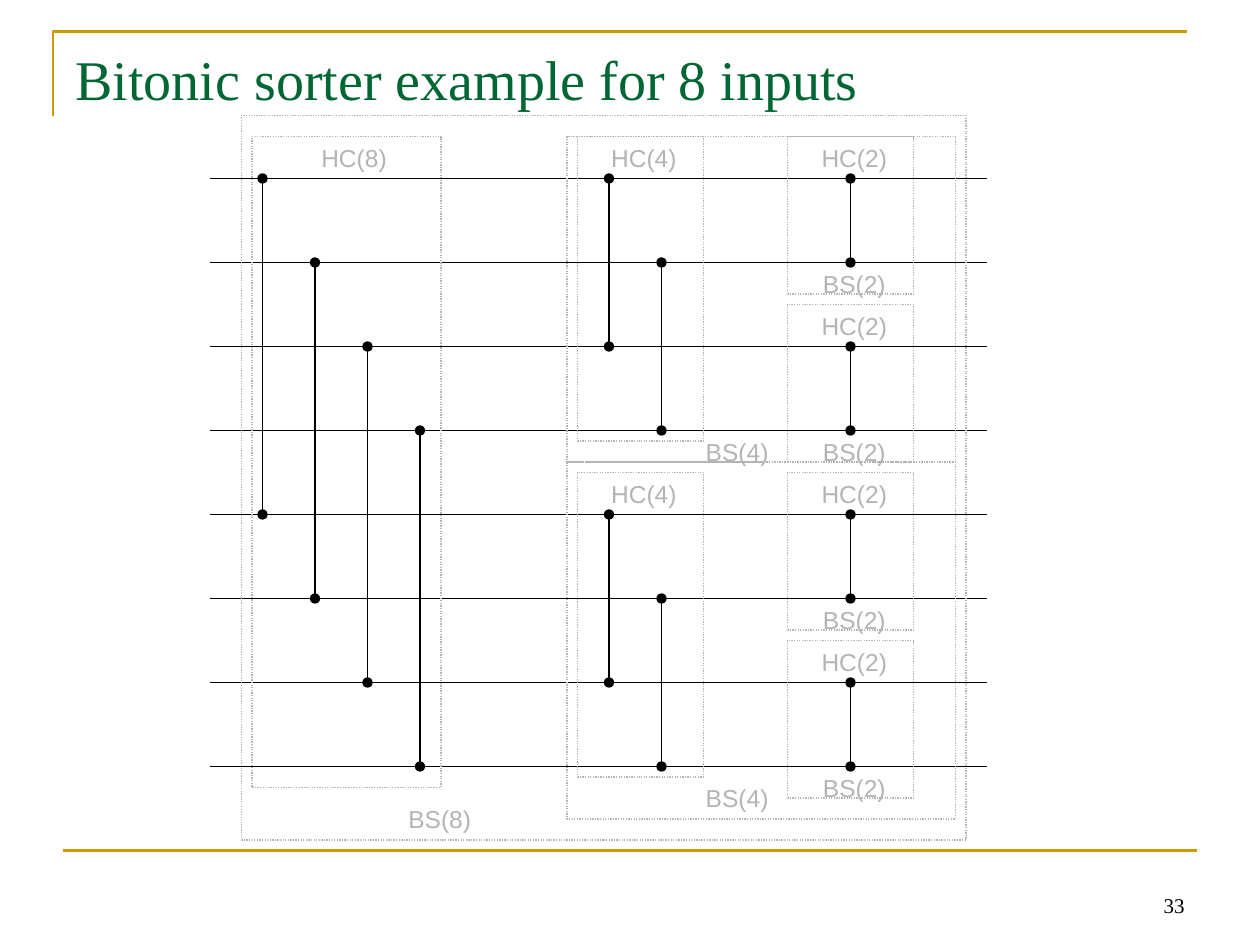
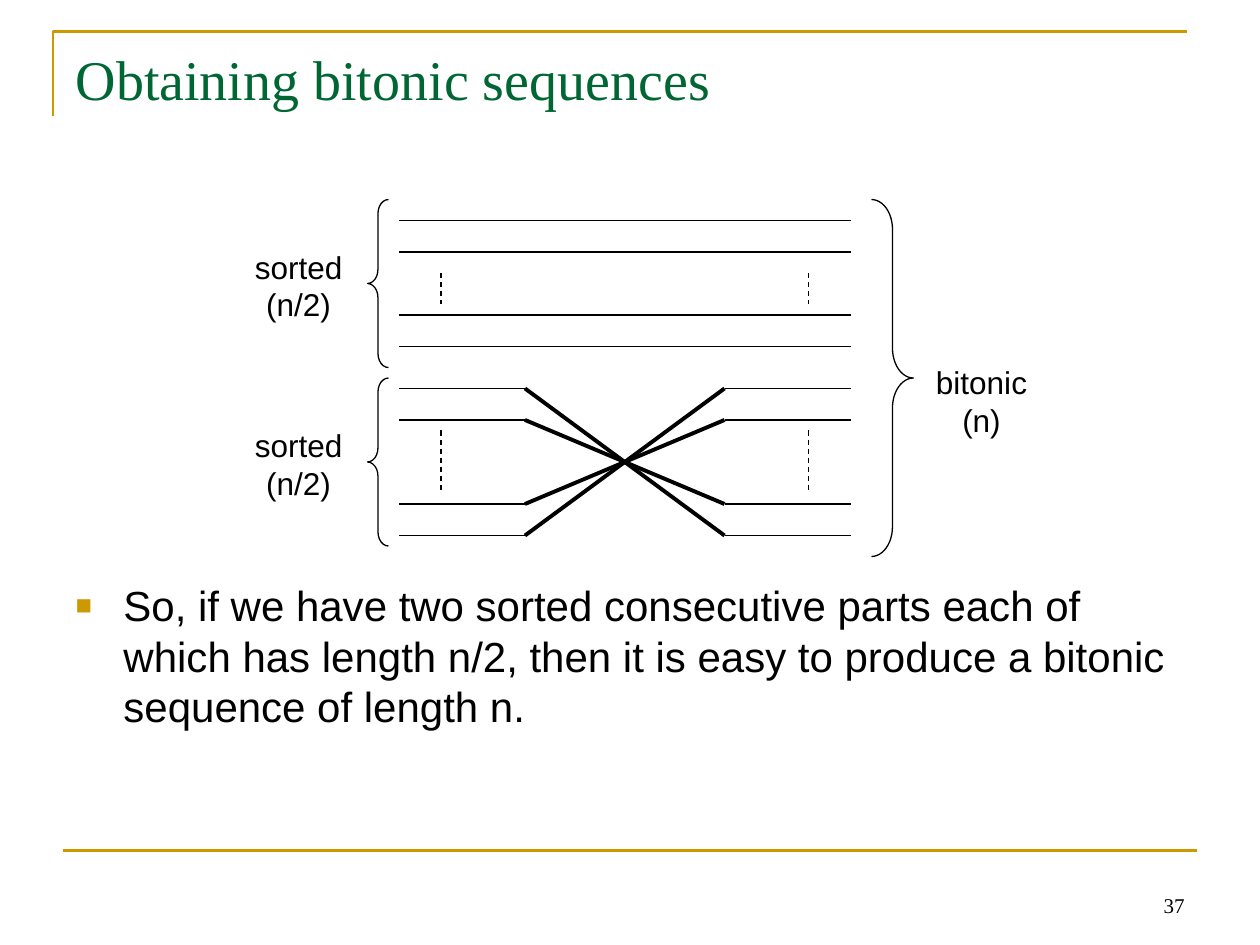
from dataclasses import dataclass

from lxml import etree
from pptx import Presentation
from pptx.dml.color import RGBColor
from pptx.enum.dml import MSO_LINE
from pptx.enum.shapes import MSO_CONNECTOR, MSO_SHAPE
from pptx.enum.text import MSO_ANCHOR, MSO_AUTO_SIZE, PP_ALIGN
from pptx.oxml.ns import qn
from pptx.util import Inches, Pt

STRAIGHT = MSO_CONNECTOR.STRAIGHT
RECTANGLE = MSO_SHAPE.RECTANGLE
LEFT_BRACE = MSO_SHAPE.LEFT_BRACE
RIGHT_BRACE = MSO_SHAPE.RIGHT_BRACE
DOTTED = MSO_LINE.ROUND_DOT
DASHED = MSO_LINE.DASH
TOP = MSO_ANCHOR.TOP
BOTTOM = MSO_ANCHOR.BOTTOM
LEFT = PP_ALIGN.LEFT
CENTER = PP_ALIGN.CENTER
RIGHT = PP_ALIGN.RIGHT
FIXED_SIZE = MSO_AUTO_SIZE.NONE
GROW = MSO_AUTO_SIZE.SHAPE_TO_FIT_TEXT
TITLE_ONLY = 5
TITLE_AND_CONTENT = 1


@dataclass(frozen=True)
class Theme:
    gold: str = "CC9900"
    green: str = "006633"
    black: str = "000000"
    gray: str = "B4B4B4"
    serif: str = "Times New Roman"
    sans: str = "Arial"
    title_size: float = 32
    body_size: float = 24
    label_size: float = 18
    block_size: float = 14
    number_size: float = 12
    thin: float = 0.75
    frame: float = 1.5
    thick: float = 2.25


def grid(steps):
    return Inches(steps / 12)


class Page:
    def __init__(self, deck, theme, layout, title, number):
        self.theme = theme
        self.slide = deck.slides.add_slide(deck.slide_layouts[layout])
        self.shapes = self.slide.shapes
        self.frame()
        self.number(number)
        self.title(title)

    def place(self, box, left, top, width, height):
        box.left, box.top = Inches(left), Inches(top)
        box.width, box.height = Inches(width), Inches(height)

    def style(self, para, size, font, color, align):
        para.alignment = align
        para.font.size = Pt(size)
        para.font.name = font
        para.font.color.rgb = RGBColor.from_string(color)

    def stroke(self, item, color, width, dash=None):
        item.line.color.rgb = RGBColor.from_string(color)
        item.line.width = Pt(width)
        if dash is not None:
            item.line.dash_style = dash

    def outline(self, shape, color, width, dash=None):
        shape.shadow.inherit = False
        shape.fill.background()
        self.stroke(shape, color, width, dash)

    def frame(self):
        builder = self.shapes.build_freeform(Inches(0.42), Inches(0.92))
        corner = [(Inches(0.42), Inches(0.25)), (Inches(9.42), Inches(0.25))]
        builder.add_line_segments(corner, close=False)
        self.outline(builder.convert_to_shape(), self.theme.gold, self.theme.frame)
        self.line((6, 81), (114, 81), self.theme.frame, self.theme.gold)

    def number(self, number):
        box = self.shapes.add_textbox(Inches(7.17), Inches(6.83), Inches(2.33), Inches(0.5))
        box.text_frame.word_wrap = True
        box.text_frame.vertical_anchor = BOTTOM
        box.text_frame.text = str(number)
        self.style(box.text_frame.paragraphs[0], self.theme.number_size,
                   self.theme.serif, self.theme.black, RIGHT)

    def title(self, text):
        box = self.shapes.title
        self.place(box, 0.5, 0.3, 9, 1.25)
        box.text_frame.text = text
        box.text_frame.vertical_anchor = TOP
        box.text_frame.auto_size = FIXED_SIZE
        self.style(box.text_frame.paragraphs[0], self.theme.title_size,
                   self.theme.serif, self.theme.green, LEFT)

    def bullet(self, text):
        box = self.slide.placeholders[1]
        self.place(box, 0.5, 4.55, 9, 2.15)
        box.text_frame.text = text
        box.text_frame.vertical_anchor = TOP
        box.text_frame.auto_size = FIXED_SIZE
        para = box.text_frame.paragraphs[0]
        para.space_before = Pt(0)
        properties = para._p.get_or_add_pPr()
        properties.set("marL", str(Inches(0.38)))
        properties.set("indent", str(-Inches(0.38)))
        color = etree.SubElement(properties, qn("a:buClr"))
        etree.SubElement(color, qn("a:srgbClr"), val=self.theme.gold)
        etree.SubElement(properties, qn("a:buSzPct"), val="65000")
        etree.SubElement(properties, qn("a:buFont"), typeface=self.theme.sans)
        etree.SubElement(properties, qn("a:buChar"), char="■")
        self.style(para, self.theme.body_size, self.theme.sans, self.theme.black, LEFT)

    def line(self, start, end, width=None, color=None, dash=None, dots=False):
        ends = [grid(step) for step in (*start, *end)]
        connector = self.shapes.add_connector(STRAIGHT, *ends)
        self.stroke(connector, color or self.theme.black, width or self.theme.thin, dash)
        properties = connector.element.spPr
        if dots:
            for tip in ("a:headEnd", "a:tailEnd"):
                etree.SubElement(properties.find(qn("a:ln")), qn(tip), type="oval")
        etree.SubElement(properties, qn("a:effectLst"))

    def block(self, left, top, width, height):
        shape = self.shapes.add_shape(RECTANGLE, *map(grid, (left, top, width, height)))
        self.outline(shape, self.theme.gray, self.theme.thin, DOTTED)

    def brace(self, kind, left, top, width, height, curve):
        shape = self.shapes.add_shape(kind, *map(grid, (left, top, width, height)))
        shape.adjustments[0] = curve
        self.outline(shape, self.theme.black, self.theme.thin)

    def label(self, center, top, text, size, color, width, height):
        box = self.shapes.add_textbox(Inches(center - width / 2), grid(top),
                                      Inches(width), Inches(height))
        box.text_frame.word_wrap = False
        box.text_frame.auto_size = GROW
        box.text_frame.text = text
        for para in box.text_frame.paragraphs:
            self.style(para, size, self.theme.sans, color, CENTER)

    def block_label(self, center, top, text):
        self.label(center, top, text, self.theme.block_size, self.theme.gray, 0.75, 0.33)

    def brace_label(self, center, top, text):
        self.label(center, top, text, self.theme.label_size, self.theme.black, 1, 0.7)


def build_sorter(deck, theme):
    page = Page(deck, theme, TITLE_ONLY, "Bitonic sorter example for 8 inputs", 33)
    wires = [17 + 8 * index for index in range(8)]
    for wire in wires:
        page.line((20, wire), (94, wire))

    cleaners = [
        (8, 25, (24, 18, 62), 2.81),
        (4, 58, (55, 12, 29), 5.11),
        (2, 81, (75, 12, 15), 6.78),
    ]
    for size, first_x, (left, width, height), center in cleaners:
        half = size // 2
        for start in range(0, 8, size):
            top = wires[start] - 4
            page.block(left, top, width, height)
            page.block_label(center, top, f"HC({size})")
            for index in range(half):
                x = first_x + 5 * index
                page.line((x, wires[start + index]), (x, wires[start + index + half]), dots=True)

    for block in [(54, 13, 37, 31), (54, 44, 37, 34), (23, 11, 69, 69)]:
        page.block(*block)
    sorters = [(2, 6.78, range(25, 74, 16)), (4, 5.85, (41, 74)), (8, 3.49, (76,))]
    for size, center, tops in sorters:
        for top in tops:
            page.block_label(center, top, f"BS({size})")


def build_sequences(deck, theme):
    page = Page(deck, theme, TITLE_AND_CONTENT, "Obtaining bitonic sequences", 37)
    page.bullet("So, if we have two sorted consecutive parts each of which has length n/2, "
                "then it is easy to produce a bitonic sequence of length n.")
    upper = [21, 24, 30, 33]
    lower = [37, 40, 48, 51]
    for wire in upper + lower:
        page.line((38, wire), (50, wire))
        page.line((69, wire), (81, wire))
    for wire in upper:
        page.line((50, wire), (69, wire))
    for start, end in zip(lower, reversed(lower)):
        page.line((50, start), (69, end), theme.thick)
    for x in (42, 77):
        for top, bottom in [(26, 29), (41, 47)]:
            page.line((x, top), (x, bottom), dash=DASHED)

    for top in (19, 36):
        page.brace(LEFT_BRACE, 35, top, 2, 16, 0.67)
        page.brace_label(2.37, top + 4, "sorted\n(n/2)")
    page.brace(RIGHT_BRACE, 83, 19, 4, 34, 0.71)
    page.brace_label(7.79, 34, "bitonic\n(n)")


def main():
    deck = Presentation()
    deck.slide_width, deck.slide_height = Inches(10), Inches(7.5)
    theme = Theme()
    build_sorter(deck, theme)
    build_sequences(deck, theme)
    deck.save("out.pptx")


if __name__ == "__main__":
    main()
